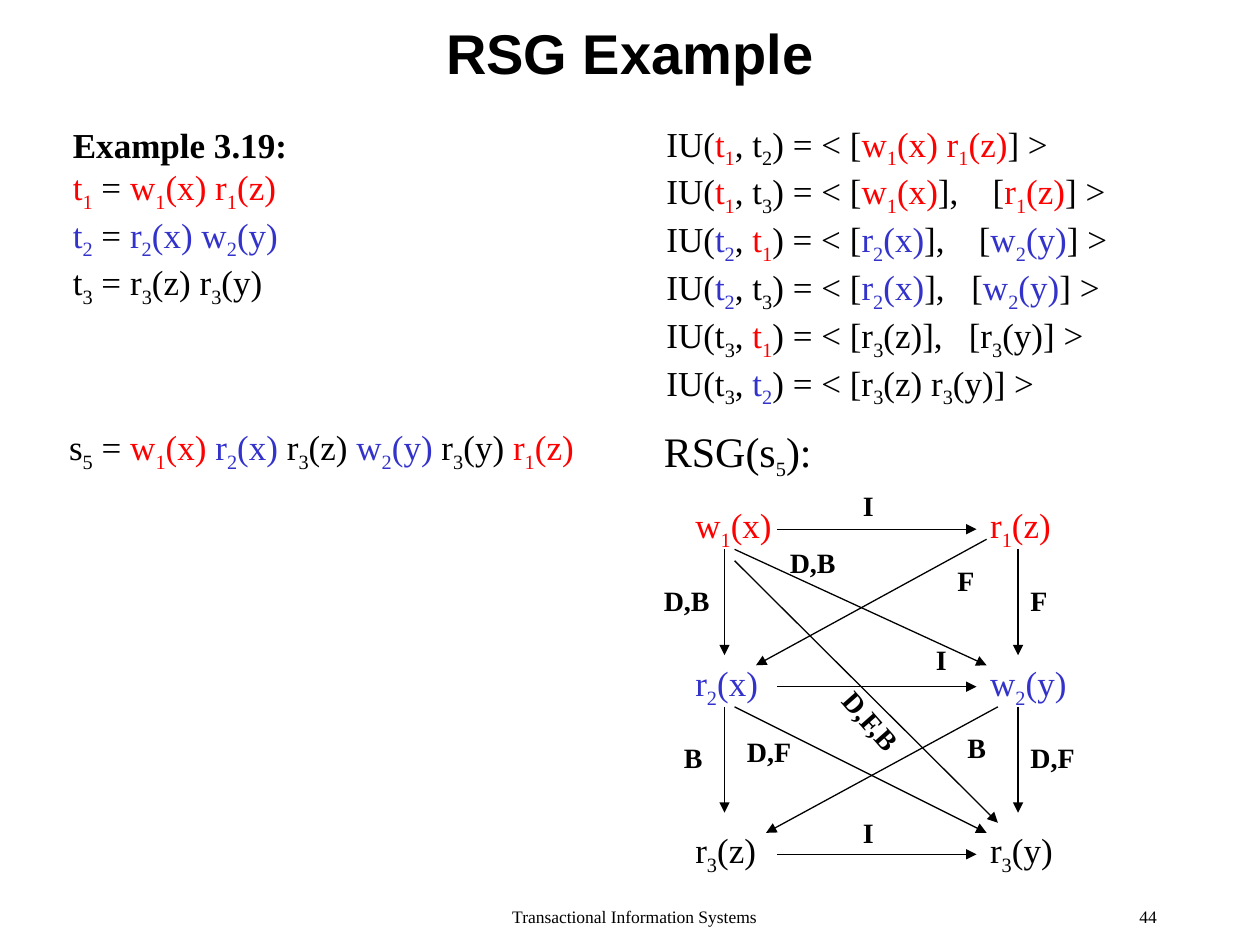
"""Build the RSG Example slide with its schedules, indivisible units and serialization graph."""
from lxml import etree
from pptx import Presentation
from pptx.dml.color import RGBColor
from pptx.enum.shapes import MSO_CONNECTOR as CONNECTOR
from pptx.enum.text import MSO_ANCHOR as ANCHOR, MSO_AUTO_SIZE as AUTO_SIZE, PP_ALIGN as ALIGN
from pptx.oxml.ns import qn
from pptx.util import Inches, Pt

INK = {"|": "000000", "^": "FF0000", "~": "3333CC"}
color = RGBColor.from_string


def write(paragraph, markup, size=20, bold=False, face="Times New Roman"):
    """Add runs: | ^ ~ switch to black, red, blue, and _ lowers the next character."""
    for mark in INK:
        markup = markup.replace(mark, "\n" + mark)
    for chunk in markup.strip("\n").split("\n"):
        ink = INK.get(chunk[0], INK["|"])
        first, *lowered = chunk.lstrip("|^~").split("_")
        pieces = [(first, False)]
        for part in lowered:
            pieces += [(part[0], True), (part[1:], False)]
        for words, is_sub in pieces:
            if words:
                run = paragraph.add_run()
                run.text = words
                run.font.name = face
                run.font.size = Pt(20 if is_sub else size)
                run.font.bold = bold
                run.font.color.rgb = color(ink)
                if is_sub:
                    run.font._element.set("baseline", "-25000")


def add_text(left, top, width, height, lines, size=20, bold=False, wrap=False):
    """Place a text box and write one paragraph for each line."""
    box = slide.shapes.add_textbox(Inches(left), Inches(top), Inches(width), Inches(height))
    frame = box.text_frame
    frame.word_wrap = wrap
    frame.auto_size = AUTO_SIZE.NONE if wrap else AUTO_SIZE.SHAPE_TO_FIT_TEXT
    for index, line in enumerate(lines):
        paragraph = frame.add_paragraph() if index else frame.paragraphs[0]
        write(paragraph, line, size, bold)
    return box


prs = Presentation()
prs.slide_width, prs.slide_height = Inches(10), Inches(7.5)
slide = prs.slides.add_slide(prs.slide_layouts[5])

title = slide.shapes.title
title.left, title.top, title.width, title.height = 0, 0, Inches(10), Inches(0.83)
title.text_frame.vertical_anchor = ANCHOR.MIDDLE
heading = title.text_frame.paragraphs[0]
heading.alignment = ALIGN.CENTER
write(heading, "RSG Example", 32, True, "Arial")

transactions = add_text(0.48, 0.93, 1.92, 1.57, ["Example 3.19:"], bold=True)
for line in ["^t_1| = ^w_1(x) r_1(z)", "~t_2| = ~r_2(x) w_2(y)", "t_3 = r_3(z) r_3(y)"]:
    write(transactions.text_frame.add_paragraph(), line)

units = add_text(5.19, 0.92, 3.72, 2.38, [
    "IU(^t_1|, t_2) = < [^w_1(x) r_1(z)|] >",
    "IU(^t_1|, t_3) = < [^w_1(x)|],\t[^r_1(z)|] >",
    "IU(~t_2|, ^t_1|) = < [~r_2(x)|],\t[~w_2(y)|] >",
    "IU(~t_2|, t_3) = < [~r_2(x)|],\t[~w_2(y)|] >",
    "IU(t_3, ^t_1|) = < [r_3(z)],\t[r_3(y)] >",
    "IU(t_3, ~t_2|) = < [r_3(z) r_3(y)] >",
])
for paragraph, stop in zip(units.text_frame.paragraphs[1:5], [2.59, 2.48, 2.42, 2.4]):
    tabs = etree.SubElement(paragraph._p.get_or_add_pPr(), qn("a:tabLst"))
    etree.SubElement(tabs, qn("a:tab"), pos=str(Inches(stop)), algn="l")

add_text(0.45, 3.33, 4.25, 0.48,
         ["s_5 = ^w_1(x) ~r_2(x)| r_3(z) ~w_2(y)| r_3(y) ^r_1(z)"])
add_text(5.17, 3.33, 1.39, 0.54, ["RSG(s_5):"], 24)

graph_rows = [
    (3.95, ("^w_1(x)", 0.83), ("^r_1(z)", 0.71)),
    (5.2, ("~r_2(x)", 0.73), ("~w_2(y)", 0.83)),
    (6.53, ("r_3(z)", 0.71), ("r_3(y)", 0.73)),
]
edges = [
    (5.83, 4.36, 7.83, 5.28),
    (7.83, 4.28, 6, 5.28),
    (5.83, 5.61, 7.83, 6.61),
    (7.92, 5.61, 6.08, 6.61),
    (5.83, 4.45, 7.92, 6.53),
]
for top, *operations in graph_rows:
    for left, (operation, width) in zip([5.42, 7.76], operations):
        add_text(left, top, width, 0.48, [operation])
    edges.append((6.17, top + 0.25, 7.75, top + 0.25))
for top in [4.36, 5.61]:
    for x in [5.75, 8.08]:
        edges.append((x, top, x, top + 0.84))

for edge in edges:
    arrow = slide.shapes.add_connector(CONNECTOR.STRAIGHT, *[Inches(value) for value in edge])
    arrow.line.color.rgb = color("000000")
    arrow.line.width = Pt(0.75)
    etree.SubElement(arrow.line._get_or_add_ln(), qn("a:tailEnd"), type="triangle")
    etree.SubElement(arrow._element.spPr, qn("a:effectLst"))

label_widths = {"I": 0.3, "F": 0.35, "B": 0.37, "D,F": 0.57, "D,B": 0.58, "D,F,B": 0.77}
edge_labels = [
    ("I", 6.75, 3.83), ("I", 7.33, 5.05), ("I", 6.75, 6.42),
    ("D,B", 5.17, 4.58), ("B", 5.33, 5.83), ("F", 8.08, 4.58), ("D,F", 8.08, 5.83),
    ("D,B", 6.17, 4.28), ("F", 7.5, 4.42), ("D,F", 5.83, 5.78), ("B", 7.58, 5.75),
    ("D,F,B", 6.54, 5.55),
]
for label, left, top in edge_labels:
    edge_label = add_text(left, top, label_widths[label], 0.37, [label], 16, True)
    if label == "D,F,B":
        edge_label.rotation = 48.4

footer = add_text(2.95, 7.14, 4.17, 0.36, ["Transactional Information Systems"], 10, wrap=True)
footer.text_frame.paragraphs[0].alignment = ALIGN.CENTER
page_number = add_text(7.2, 7.14, 2.08, 0.36, ["44"], 10, wrap=True)
page_number.text_frame.paragraphs[0].alignment = ALIGN.RIGHT

prs.save("out.pptx")
